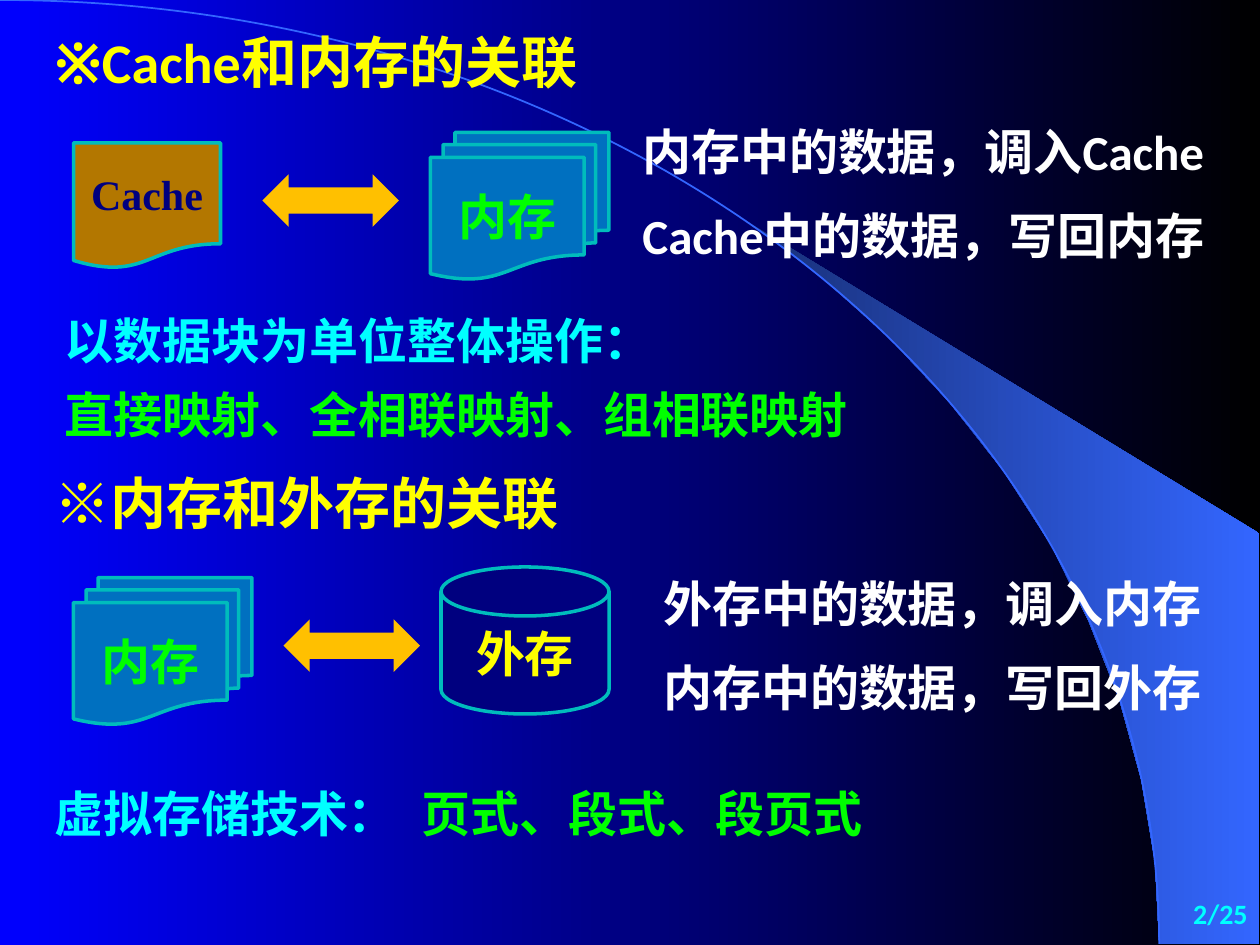
import math

from pptx import Presentation
from pptx.dml.color import RGBColor
from pptx.enum.shapes import MSO_SHAPE
from pptx.enum.text import MSO_ANCHOR, PP_ALIGN
from pptx.oxml.ns import qn
from pptx.util import Pt

PX = 7620  # EMU per px, 120 px to the inch
WIDTH, HEIGHT = 1200, 900
MULTI = MSO_SHAPE.FLOWCHART_MULTIDOCUMENT
DOCUMENT = MSO_SHAPE.FLOWCHART_DOCUMENT
DISK = MSO_SHAPE.FLOWCHART_MAGNETIC_DISK
ARROW = MSO_SHAPE.LEFT_RIGHT_ARROW
LEFT, CENTER, RIGHT = PP_ALIGN.LEFT, PP_ALIGN.CENTER, PP_ALIGN.RIGHT
TOP, MIDDLE = MSO_ANCHOR.TOP, MSO_ANCHOR.MIDDLE

LATIN, SERIF, CJK = "Calibri", "Times New Roman", "Noto Sans CJK SC"
COLORS = {
    "blue": "0000FF", "black": "000000", "swoosh": "182F76", "arc": "3366FF",
    "memory": "0070C0", "cache": "B37700", "navy": "00007F", "edge": "00BCBC",
    "arrow": "FFC000", "yellow": "FFFF00", "white": "FFFFFF",
    "cyan": "00FFFF", "green": "00FF00",
}

# kind, box (left, top, width, height), fill, label, font, size, label colour
NODES = [
    (MULTI, (410, 126, 170, 140), "memory", "内存", CJK, 28, "green"),
    (DOCUMENT, (70, 136, 140, 120), "cache", "Cache", SERIF, 24, "navy"),
    (DISK, (420, 540, 160, 140), "navy", "外存", CJK, 28, "yellow"),
    (MULTI, (70, 550, 170, 140), "memory", "内存", CJK, 28, "green"),
]
ARROWS = [(250, 166, 130, 50), (270, 590, 130, 50)]

# text, box, size, colour
TEXTS = [
    ("※Cache和内存的关联", (40, 20, 650, 80), 32, "yellow"),
    ("内存中的数据，调入Cache", (600, 110, 600, 70), 28, "white"),
    ("Cache中的数据，写回内存", (600, 190, 580, 70), 28, "white"),
    ("以数据块为单位整体操作：", (50, 290, 590, 70), 28, "cyan"),
    ("直接映射、全相联映射、组相联映射", (50, 360, 800, 70), 28, "green"),
    ("※内存和外存的关联", (40, 440, 650, 80), 32, "yellow"),
    ("外存中的数据，调入内存", (620, 540, 600, 70), 28, "white"),
    ("内存中的数据，写回外存", (620, 620, 580, 70), 28, "white"),
    ("虚拟存储技术：", (40, 740, 400, 80), 28, "cyan"),
    ("页式、段式、段页式", (390, 740, 490, 70), 28, "green"),
]
PAGE = ("2/25", (950, 840, 250, 60), 16, "cyan")

ARC_RX, ARC_RY = 1104, 899
ARC_CURVE = [(0, 0), (610, 0), (ARC_RX, 402), (ARC_RX, ARC_RY)]
SWOOSH_ANGLES = range(40, 91, 5)  # degrees along the arc
SWOOSH_EDGE = [(1199, 899), (1199, 508)]


def rgb(name):
    return RGBColor.from_string(COLORS[name])


def emu(box):
    return [v * PX for v in box]


def set_gradient(fill, *names):
    fill.gradient()
    fill.gradient_angle = 0
    for stop, name, position in zip(fill.gradient_stops, names, (0, 1)):
        stop.color.rgb = rgb(name)
        stop.position = position


def set_text(sp, text, font, size, color, align=LEFT, anchor=TOP):
    tf = sp.text_frame
    tf.word_wrap = True
    tf.vertical_anchor = anchor
    tf.text = text
    p = tf.paragraphs[0]
    p.alignment = align
    for r in p.runs:
        r.font.size = Pt(size)
        r.font.bold = True
        r.font.color.rgb = rgb(color)
        r.font.name = font
        ea = r.font._element.makeelement(qn("a:ea"), {"typeface": CJK})
        r.font._element.append(ea)


def add_text(s, text, box, size, color, align=LEFT, anchor=TOP):
    sp = s.shapes.add_textbox(*emu(box))
    set_text(sp, text, LATIN, size, color, align, anchor)


def add_solid(s, kind, box, fill):
    sp = s.shapes.add_shape(kind, *emu(box))
    sp.shadow.inherit = False
    sp.fill.solid()
    sp.fill.fore_color.rgb = rgb(fill)
    return sp


def arc_point(degrees):
    a = math.radians(degrees)
    return ARC_RX * math.sin(a), ARC_RY * (1 - math.cos(a))


def add_outline(s, points, close):
    fb = s.shapes.build_freeform(*points[0], scale=PX)
    fb.add_line_segments(points[1:], close=close)
    sp = fb.convert_to_shape()
    sp.shadow.inherit = False
    return sp


def bend(sp):
    """Turn the three line segments of an outline into one cubic curve."""
    path = sp._element.find(".//" + qn("a:path"))
    curve = path.makeelement(qn("a:cubicBezTo"), {})
    for segment in path.findall(qn("a:lnTo")):
        curve.append(segment[0])
        path.remove(segment)
    path.append(curve)


def add_backdrop(s):
    set_gradient(s.background.fill, "blue", "black")
    inner = [arc_point(a) for a in SWOOSH_ANGLES]
    swoosh = add_outline(s, inner + SWOOSH_EDGE, True)
    set_gradient(swoosh.fill, "swoosh", "arc")
    swoosh.line.fill.background()
    arc = add_outline(s, ARC_CURVE, False)
    bend(arc)
    arc.fill.background()
    arc.line.color.rgb = rgb("arc")
    arc.line.width = Pt(1)


def main():
    prs = Presentation()
    prs.slide_width, prs.slide_height = WIDTH * PX, HEIGHT * PX
    s = prs.slides.add_slide(prs.slide_layouts[6])
    add_backdrop(s)
    for kind, box, fill, label, font, size, color in NODES:
        sp = add_solid(s, kind, box, fill)
        sp.line.color.rgb = rgb("edge")
        sp.line.width = Pt(2)
        set_text(sp, label, font, size, color, CENTER, MIDDLE)
    for box in ARROWS:
        add_solid(s, ARROW, box, "arrow").line.fill.background()
    for item in TEXTS:
        add_text(s, *item)
    add_text(s, *PAGE, align=RIGHT, anchor=MIDDLE)
    prs.save("out.pptx")


if __name__ == "__main__":
    main()
